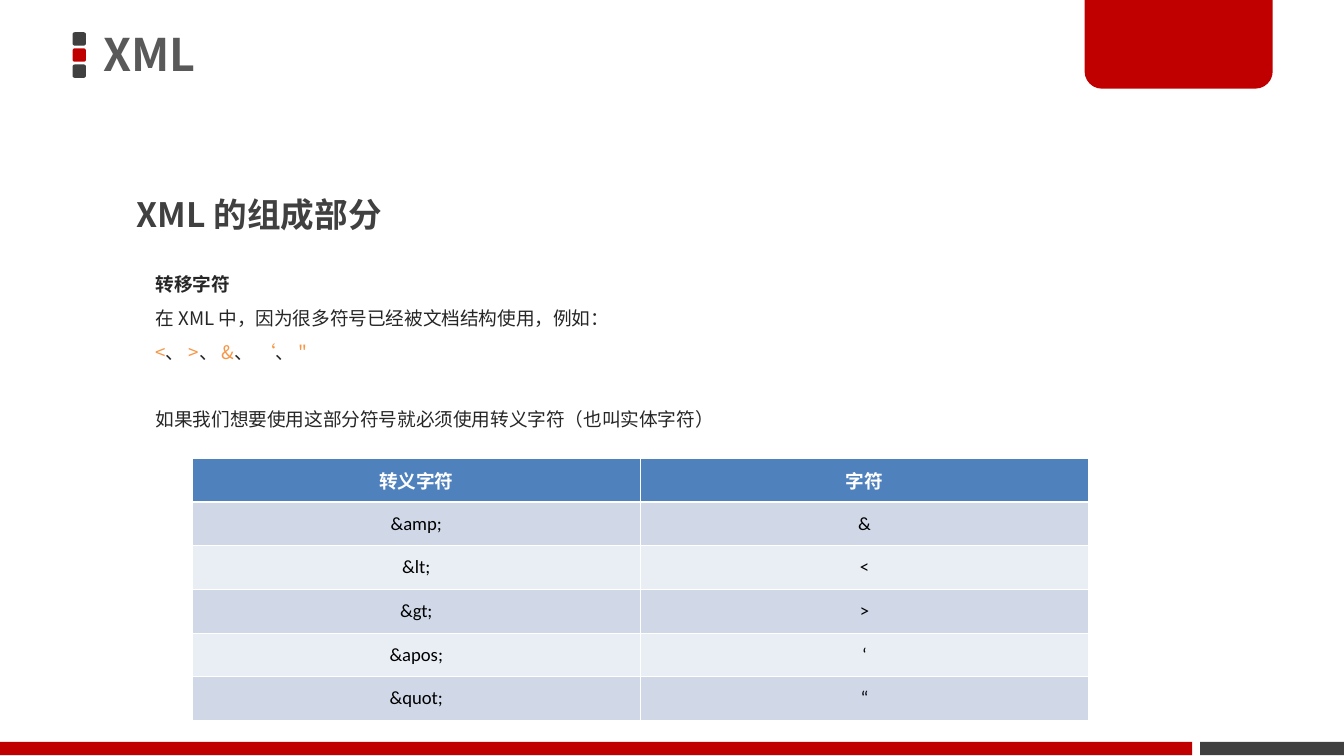
from lxml import etree
from pptx import Presentation
from pptx.dml.color import RGBColor
from pptx.enum import shapes, text
from pptx.oxml.ns import qn
from pptx.util import Inches, Pt

FONT = "Noto Sans CJK SC"
RED, DARK, INK, ORANGE = "C00000", "404040", "262626", "F79646"
KIND = shapes.MSO_SHAPE


def color(code):
    return RGBColor.from_string(code)


def style(run, size, code, bold=False, font=FONT):
    run.font.name = font
    run.font.size = Pt(size)
    run.font.bold = bold
    run.font.color.rgb = color(code)
    # East Asian face
    face = etree.SubElement(run.font._element, qn("a:ea"))
    face.set("typeface", FONT)


def add_block(parent, kind, box, code, *radii):
    block = parent.add_shape(kind, *map(Inches, box))
    block.shadow.inherit = False
    block.fill.solid()
    block.fill.fore_color.rgb = color(code)
    block.line.fill.background()
    for i, radius in enumerate(radii):
        block.adjustments[i] = radius


def add_text(slide, box, lines, size, spacing, wrap=True, inset=0.1):
    """Each line is (gap before in points, [(text, colour, bold), ...])."""
    frame = slide.shapes.add_textbox(*map(Inches, box)).text_frame
    frame.word_wrap = wrap
    frame.margin_left = frame.margin_right = Inches(inset)
    frame.margin_top = frame.margin_bottom = Inches(inset / 2)
    for i, (gap, parts) in enumerate(lines):
        para = frame.add_paragraph() if i else frame.paragraphs[0]
        para.line_spacing = spacing
        if gap:
            para.space_before = Pt(gap)
        for words, code, bold in parts:
            run = para.add_run()
            run.text = words
            style(run, size, code, bold)
    return frame


def set_edges(cell, top, bottom):
    props = cell._tc.get_or_add_tcPr()
    edges = (("a:lnL", 0.45), ("a:lnR", 0.45), ("a:lnT", top), ("a:lnB", bottom))
    for i, (tag, width) in enumerate(edges):
        line = etree.Element(qn(tag), w=str(Pt(width)))
        fill = etree.SubElement(line, qn("a:solidFill"))
        etree.SubElement(fill, qn("a:srgbClr"), val="FFFFFF")
        props.insert(i, line)


def add_grid(slide, box, rows):
    grid = slide.shapes.add_table(len(rows), len(rows[0]), *map(Inches, box)).table
    for r, row in enumerate(rows):
        head = r == 0
        fill = "4F81BD" if head else ("E9EDF4", "D0D8E8")[r % 2]
        for c, words in enumerate(row):
            cell = grid.cell(r, c)
            cell.text = words
            cell.vertical_anchor = text.MSO_ANCHOR.MIDDLE
            cell.fill.solid()
            cell.fill.fore_color.rgb = color(fill)
            para = cell.text_frame.paragraphs[0]
            para.alignment = text.PP_ALIGN.CENTER
            style(para.runs[0], 10, "FFFFFF" if head else "000000", head, "Calibri")
            set_edges(cell, 1.47 if r == 1 else 0.45, 1.47 if head else 0.45)


def add_frame(slide):
    # Three small squares beside the title
    marks = slide.shapes.add_group_shape().shapes
    for i, code in enumerate((DARK, RED, DARK)):
        add_block(marks, KIND.ROUNDED_RECTANGLE,
                  (0.54, 0.24 + 0.12 * i, 0.1, 0.1), code, 0.167)
    # Footer bars and corner tab
    add_block(slide.shapes, KIND.RECTANGLE, (8.93, 5.52, 1.07, 0.1), DARK)
    add_block(slide.shapes, KIND.ROUND_2_SAME_RECTANGLE,
              (8.07, -0.02, 1.4, 0.68), RED, 0, 0.19)
    add_block(slide.shapes, KIND.RECTANGLE, (0, 5.52, 8.87, 0.1), RED)


def main():
    deck = Presentation()
    # Widescreen, 16:9
    deck.slide_width = Inches(10)
    deck.slide_height = deck.slide_width * 9 // 16
    slide = deck.slides.add_slide(deck.slide_layouts[6])
    add_frame(slide)

    # Headings
    title = add_text(slide, (0.69, -0.02, 5.89, 0.89),
                     [(0, [("XML", "595959", True)])], 24, 0.9, inset=0.08)
    title.vertical_anchor = text.MSO_ANCHOR.MIDDLE
    add_text(slide, (0.92, 1.24, 3.84, 0.55),
             [(0, [("XML 的组成部分", DARK, True)])], 18, 1.5)

    # Explanation, with the reserved signs picked out
    signs = []
    for sign in "<>&‘\"":
        if signs:
            signs.append(("、 ", INK, False))
        signs.append((sign, ORANGE, False))
    add_text(slide, (1.06, 1.9, 4.35, 1.35), [
        (0, [("转移字符", INK, True)]),
        (0, [("在 XML 中，因为很多符号已经被文档结构使用，例如：", INK, False)]),
        (0, signs),
        (18, [("如果我们想要使用这部分符号就必须使用转义字符（也叫实体字符）", INK, False)]),
    ], 10, 1.5, wrap=False)

    # Escape table
    add_grid(slide, (1.43, 3.41, 6.67, 1.95), [
        ("转义字符", "字符"),
        ("&amp;", "&"),
        ("&lt;", "<"),
        ("&gt;", ">"),
        ("&apos;", "‘"),
        ("&quot;", "“"),
    ])
    deck.save("out.pptx")


if __name__ == "__main__":
    main()
